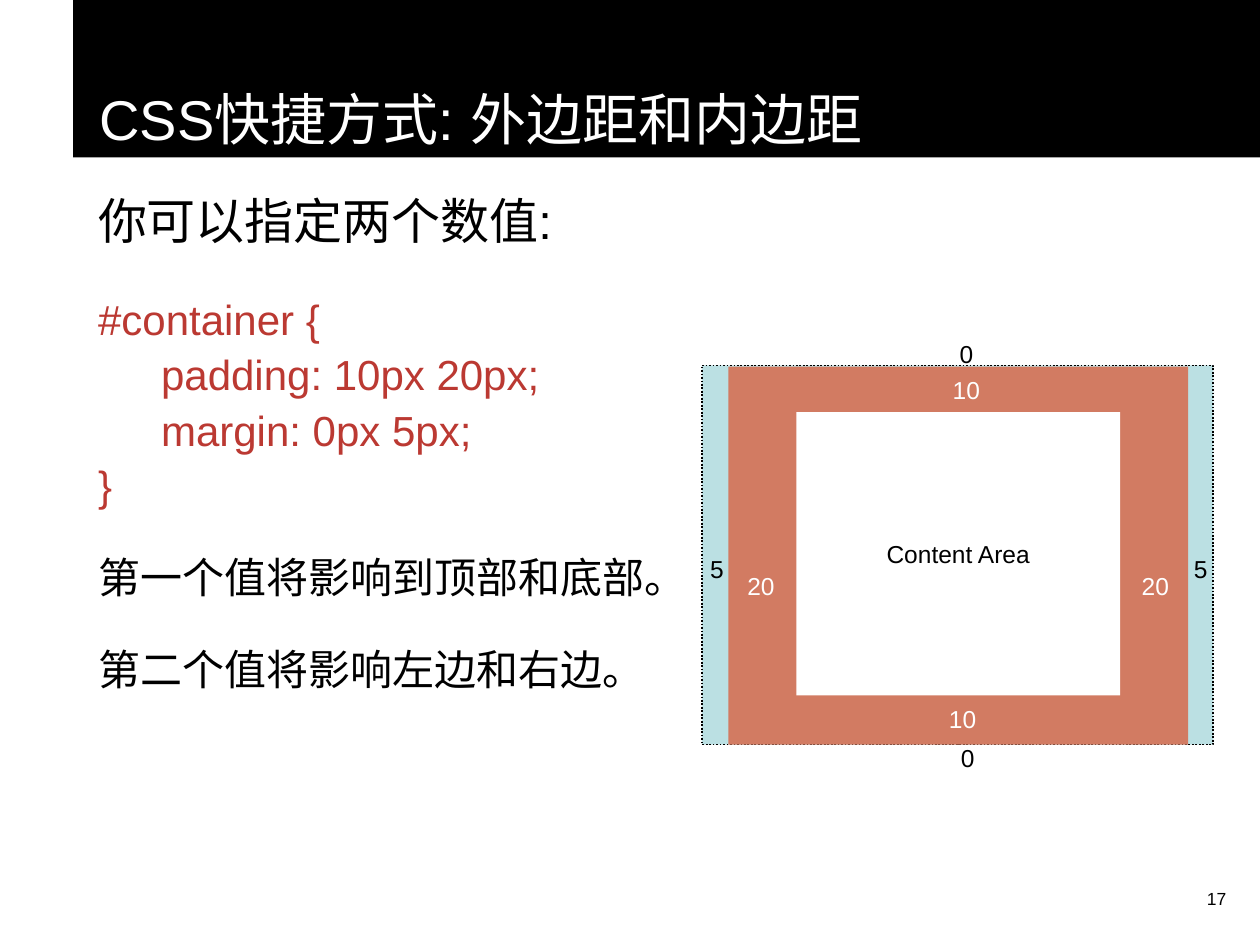
"""Build a slide on the two-value CSS shorthand for margin and padding."""
import pptx
import pptx.util
import pptx.dml.color
import pptx.enum.dml
import pptx.enum.shapes
import pptx.enum.text
import lxml.etree

Inches = pptx.util.Inches
Pt = pptx.util.Pt
Align = pptx.enum.text.PP_ALIGN
Anchor = pptx.enum.text.MSO_ANCHOR


def color(value):
    return pptx.dml.color.RGBColor.from_string(value)


def write(paragraph, text, size=14, fill="000000", align=Align.LEFT,
          indent=0, before=0, after=0, spacing=1.0, tab=None):
    properties = paragraph._p.get_or_add_pPr()
    properties.set("marL", str(Inches(indent)))
    properties.set("indent", "0")
    paragraph.alignment = align
    paragraph.line_spacing = spacing
    paragraph.space_before = Pt(before)
    paragraph.space_after = Pt(after)
    if tab:
        namespace = "{http://schemas.openxmlformats.org/drawingml/2006/main}"
        tabs = lxml.etree.SubElement(properties, namespace + "tabLst")
        lxml.etree.SubElement(tabs, namespace + "tab", pos=str(Inches(tab)), algn="l")
    paragraph.text = text
    paragraph.font.size = Pt(size)
    paragraph.font.name = "Arial"
    paragraph.font.color.rgb = color(fill)
    for run in paragraph.runs:
        run.font.size = Pt(size)
        run.font.name = "Arial"
        run.font.color.rgb = color(fill)


presentation = pptx.Presentation()
presentation.slide_width = Inches(10)
presentation.slide_height = Inches(7.5)
slide = presentation.slides.add_slide(presentation.slide_layouts[6])

rectangles = {}
for name, left, top, width, height, fill in [
    ("title", 0.58, 0, 9.42, 1.25, "000000"),
    ("margin", 5.57, 2.9, 4.06, 3.01, "BBE0E3"),
    ("padding", 5.78, 2.91, 3.65, 3, "D27B62"),
    ("content", 6.32, 3.27, 2.57, 2.25, "FFFFFF"),
]:
    shape = slide.shapes.add_shape(
        pptx.enum.shapes.MSO_SHAPE.RECTANGLE,
        Inches(left), Inches(top), Inches(width), Inches(height))
    shape.shadow.inherit = False
    shape.fill.solid()
    shape.fill.fore_color.rgb = color(fill)
    shape.line.fill.background()
    rectangles[name] = shape

border = rectangles["margin"].line
border.color.rgb = color("000000")
border.width = Pt(1)
border.dash_style = pptx.enum.dml.MSO_LINE.ROUND_DOT

title_frame = rectangles["title"].text_frame
title_frame.word_wrap = True
title_frame.vertical_anchor = Anchor.BOTTOM
write(title_frame.paragraphs[0], "CSS快捷方式: 外边距和内边距",
      size=32, fill="FFFFFF", indent=0.11)

body = slide.shapes.add_textbox(Inches(0.58), Inches(1.42), Inches(9.08), Inches(4.15))
body.text_frame.word_wrap = True
write(body.text_frame.paragraphs[0], "你可以指定两个数值:",
      size=28, indent=0.1, after=7, spacing=1.1)
code = "#container {\v\tpadding: 10px 20px;\v\tmargin: 0px 5px;\v}"
for text, fill, tab in [
    (code, "BB3932", 1),
    ("第一个值将影响到顶部和底部。", "000000", None),
    ("第二个值将影响左边和右边。", "000000", None),
]:
    write(body.text_frame.add_paragraph(), text, size=24, fill=fill,
          indent=0.1, before=15, after=6, spacing=1.1, tab=tab)

for text, left, top, width, fill in [
    ("Content Area", 6.43, 4.23, 2.35, "000000"),
    ("0", 7.21, 5.85, 0.94, "000000"),
    ("5", 5.22, 4.35, 0.94, "000000"),
    ("5", 9.06, 4.35, 0.94, "000000"),
    ("20", 5.57, 4.48, 0.94, "FFFFFF"),
    ("20", 8.7, 4.48, 0.94, "FFFFFF"),
    ("10", 7.17, 5.54, 0.94, "FFFFFF"),
    ("10", 7.2, 2.93, 0.94, "FFFFFF"),
    ("0", 7.2, 2.64, 0.94, "000000"),
]:
    label = slide.shapes.add_textbox(Inches(left), Inches(top), Inches(width), Inches(0.34))
    label.text_frame.word_wrap = True
    write(label.text_frame.paragraphs[0], text, fill=fill, align=Align.CENTER)

number = slide.shapes.add_textbox(Inches(7.75), Inches(7), Inches(2.08), Inches(0.5))
number.text_frame.word_wrap = True
write(number.text_frame.paragraphs[0], "17", size=10, align=Align.RIGHT)

presentation.save("out.pptx")
